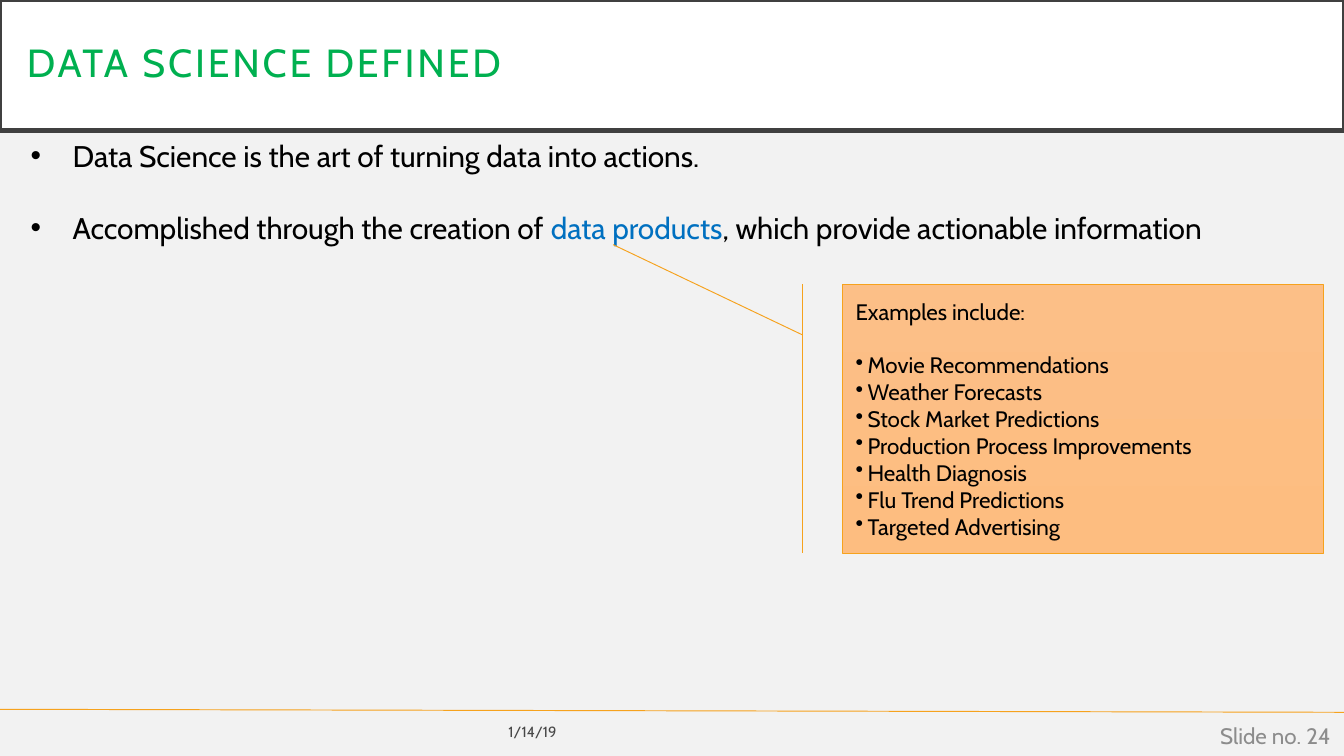
from lxml.etree import SubElement
from pptx import Presentation
from pptx.dml.color import RGBColor
from pptx.enum.shapes import MSO_CONNECTOR, MSO_SHAPE
from pptx.enum.text import MSO_ANCHOR, MSO_AUTO_SIZE, PP_ALIGN
from pptx.oxml.ns import qn
from pptx.util import Pt

COLORS = {
    "background": "F2F2F2",
    "white": "FFFFFF",
    "border": "404040",
    "title": "00B050",
    "text": "000000",
    "date": "484848",
    "number": "8C8C8C",
    "highlight": "0070C0",
    "accent": "F6A21D",
    "callout_top": "FCBF87",
    "callout_bottom": "FDBD80",
}
FONT = "Cabin"
EXAMPLES = [
    "Movie Recommendations",
    "Weather Forecasts",
    "Stock Market Predictions",
    "Production Process Improvements",
    "Health Diagnosis",
    "Flu Trend Predictions",
    "Targeted Advertising",
]


def rgb(name):
    return RGBColor.from_string(COLORS[name])


class SlideBuilder:
    def __init__(self, prs):
        self.slide = prs.slides.add_slide(prs.slide_layouts[1])
        fill = self.slide.background.fill
        fill.solid()
        fill.fore_color.rgb = rgb("background")

    def place(self, sp, box):
        for name, value in zip(("left", "top", "width", "height"), box):
            setattr(sp, name, Pt(value))

    def outline(self, sp, color, width):
        sp.line.color.rgb = rgb(color)
        sp.line.width = Pt(width)

    def frame(self, sp, anchor):
        tf = sp.text_frame
        values = {"word_wrap": True, "auto_size": MSO_AUTO_SIZE.NONE,
                  "vertical_anchor": anchor}
        for name, value in values.items():
            setattr(tf, name, value)
        return tf

    def paragraph(self, p, runs, size, bullet=None, **formats):
        if bullet:
            pPr = p._p.get_or_add_pPr()
            pPr.set("marL", str(Pt(bullet)))
            pPr.set("indent", str(-Pt(bullet)))
            SubElement(pPr, qn("a:buChar")).set("char", "•")
        values = {"alignment": PP_ALIGN.LEFT, "space_before": Pt(0), **formats}
        for name, value in values.items():
            setattr(p, name, value)
        for text, color in runs:
            r = p.add_run()
            r.text = text
            for name, value in {"name": FONT, "size": Pt(size)}.items():
                setattr(r.font, name, value)
            r.font.color.rgb = rgb(color)

    def title(self, text, box):
        sp = self.slide.shapes.title
        self.place(sp, box)
        sp.fill.solid()
        sp.fill.fore_color.rgb = rgb("white")
        self.outline(sp, "border", 2.5)
        tf = self.frame(sp, MSO_ANCHOR.MIDDLE)
        for side in ("left", "top", "right", "bottom"):
            setattr(tf, f"margin_{side}", Pt(14.4))
        p = tf.paragraphs[0]
        self.paragraph(p, [(text, "title")], 21, line_spacing=0.9)
        p.runs[0]._r.get_or_add_rPr().set("spc", "150")

    def bullets(self, items, box):
        sp = self.slide.placeholders[1]
        self.place(sp, box)
        tf = self.frame(sp, MSO_ANCHOR.TOP)
        for i, runs in enumerate(items):
            p = tf.add_paragraph() if i else tf.paragraphs[0]
            self.paragraph(p, runs, 16, bullet=22.5,
                           space_before=Pt(19.3 if i else 0))

    def callout(self, heading, items, box, adjustments):
        sp = self.slide.shapes.add_shape(
            MSO_SHAPE.LINE_CALLOUT_1_BORDER_AND_ACCENT_BAR, *map(Pt, box))
        sp.shadow.inherit = False
        for i, value in enumerate(adjustments):
            sp.adjustments[i] = value
        sp.fill.gradient()
        sp.fill.gradient_angle = 270
        stops = zip(sp.fill.gradient_stops, ("callout_top", "callout_bottom"))
        for position, (stop, color) in enumerate(stops):
            stop.position = position
            stop.color.rgb = rgb(color)
        self.outline(sp, "accent", 0.5)
        tf = self.frame(sp, MSO_ANCHOR.MIDDLE)
        self.paragraph(tf.paragraphs[0], [(heading, "text")], 12,
                       space_after=Pt(14.3))
        for item in items:
            self.paragraph(tf.add_paragraph(), [(item, "text")], 12, bullet=6.4)

    def footer(self, text, box, size, color):
        sp = self.slide.shapes.add_textbox(*map(Pt, box))
        tf = self.frame(sp, MSO_ANCHOR.MIDDLE)
        self.paragraph(tf.paragraphs[0], [(text, color)], size,
                       alignment=PP_ALIGN.RIGHT)

    def line(self, *ends):
        cxn = self.slide.shapes.add_connector(
            MSO_CONNECTOR.STRAIGHT, *map(Pt, ends))
        SubElement(cxn._element.spPr, qn("a:effectLst"))
        self.outline(cxn, "accent", 0.5)


def main():
    prs = Presentation()
    prs.slide_width, prs.slide_height = Pt(720), Pt(405)
    s = SlideBuilder(prs)
    s.line(0, 380, 720, 381.6)
    s.title("DATA SCIENCE DEFINED", (0, 0, 720, 70))
    s.footer("1/14/19", (0, 382.3, 305.3, 19.4), 7.9, "date")
    s.footer("Slide no. 24", (558, 383.2, 162, 21.6), 12, "number")
    s.bullets([
        [("Data Science is the art of turning data into actions.", "text")],
        [("Accomplished through the creation of ", "text"),
         ("data products", "highlight"),
         (", which provide actionable information", "text")],
    ], (9.2, 70, 687.6, 65.5))
    s.callout("Examples include:", EXAMPLES, (451.3, 152.4, 257.5, 144),
              (0.188, -0.083, -0.148, -0.477))
    prs.save("out.pptx")


if __name__ == "__main__":
    main()
